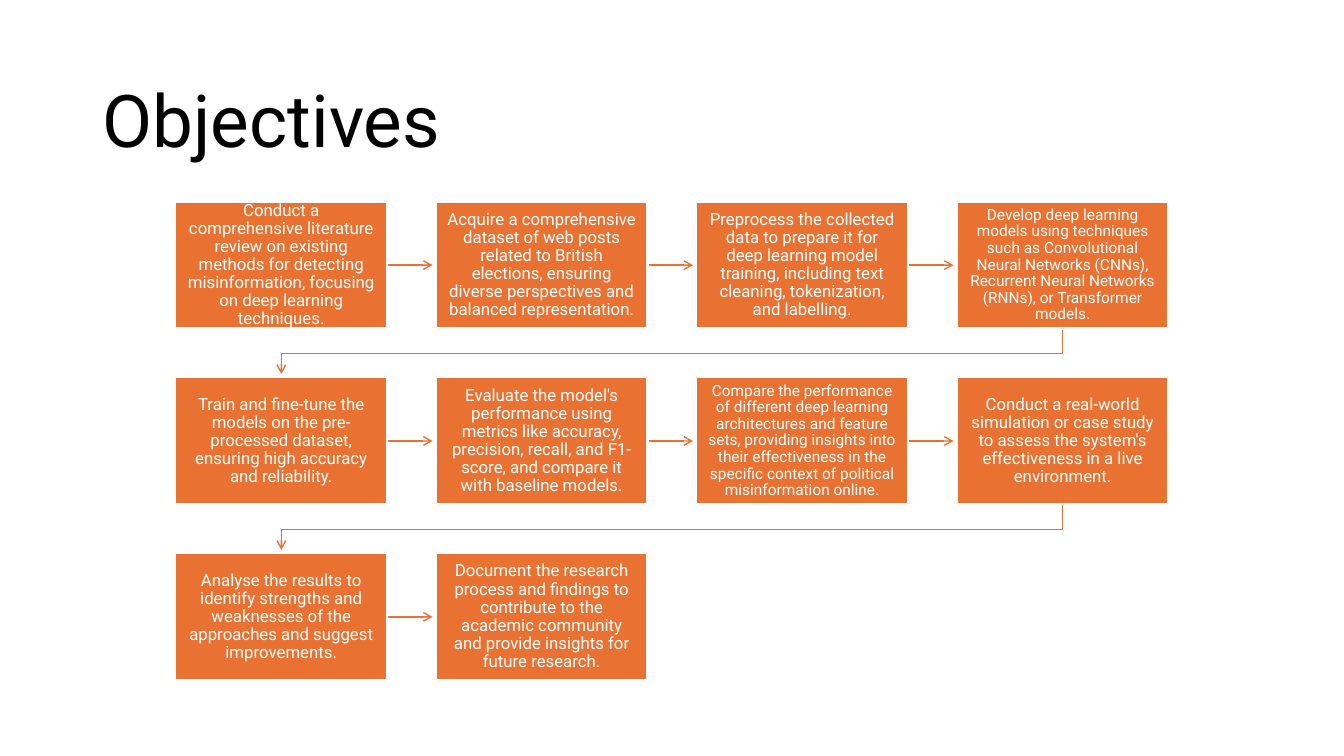
from lxml import etree
from pptx import Presentation
from pptx.dml.color import RGBColor
from pptx.enum.shapes import MSO_CONNECTOR, MSO_SHAPE
from pptx.enum.text import MSO_ANCHOR, PP_ALIGN
from pptx.oxml.ns import qn
from pptx.util import Inches, Pt

RECTANGLE = MSO_SHAPE.RECTANGLE
STRAIGHT = MSO_CONNECTOR.STRAIGHT
MIDDLE = MSO_ANCHOR.MIDDLE
LEFT, CENTER = PP_ALIGN.LEFT, PP_ALIGN.CENTER

FONT = "Roboto"
COLORS = {"orange": "E97132", "white": "FFFFFF", "black": "000000"}

COLUMNS, ROWS = 4, 3
STEP_W, STEP_H = 2.1, 1.26
ARROW_LENGTH = 0.45
TURN_DROP = 0.25  # how far a row-to-row arrow falls before it runs left

# Each objective with its text size
OBJECTIVES = [
    ("Conduct a comprehensive literature review on existing methods for "
     "detecting misinformation, focusing on deep learning techniques.", 12),
    ("Acquire a comprehensive dataset of web posts related to British "
     "elections, ensuring diverse perspectives and balanced "
     "representation.", 12),
    ("Preprocess the collected data to prepare it for deep learning model "
     "training, including text cleaning, tokenization, and labelling.", 12),
    ("Develop deep learning models using techniques such as Convolutional "
     "Neural Networks (CNNs), Recurrent Neural Networks (RNNs), or "
     "Transformer models.", 11),
    ("Train and fine-tune the models on the pre-processed dataset, ensuring "
     "high accuracy and reliability.", 12),
    ("Evaluate the model's performance using metrics like accuracy, "
     "precision, recall, and F1-score, and compare it with baseline "
     "models.", 12),
    ("Compare the performance of different deep learning architectures and "
     "feature sets, providing insights into their effectiveness in the "
     "specific context of political misinformation online.", 11),
    ("Conduct a real-world simulation or case study to assess the system's "
     "effectiveness in a live environment.", 12),
    ("Analyse the results to identify strengths and weaknesses of the "
     "approaches and suggest improvements.", 12),
    ("Document the research process and findings to contribute to the "
     "academic community and provide insights for future research.", 12),
]


def color(name):
    return RGBColor.from_string(COLORS[name])


def write(frame, text, size, ink, align):
    frame.word_wrap = True
    frame.vertical_anchor = MIDDLE
    frame.text = text
    paragraph = frame.paragraphs[0]
    paragraph.alignment = align
    paragraph.line_spacing = 0.9
    font = paragraph.runs[0].font
    font.name, font.size = FONT, Pt(size)
    font.color.rgb = color(ink)


def style_arrow(arrow):
    arrow.line.color.rgb = color("orange")
    arrow.line.width = Pt(1)
    properties = arrow.element.spPr
    etree.SubElement(properties.find(qn("a:ln")), qn("a:tailEnd"), type="arrow")
    etree.SubElement(properties, qn("a:effectLst"))


def add_title(slide, left, top, width, height):
    title = slide.shapes.add_textbox(
        Inches(left), Inches(top), Inches(width), Inches(height))
    write(title.text_frame, "Objectives", 52, "black", LEFT)


def add_next_arrow(slide, left, top):
    """Arrow from a step to its right-hand neighbour."""
    start, middle = left + STEP_W, top + STEP_H / 2
    style_arrow(slide.shapes.add_connector(
        STRAIGHT, Inches(start), Inches(middle),
        Inches(start + ARROW_LENGTH), Inches(middle)))


def add_turn_arrow(slide, left, top, first_left):
    """Arrow from the last step of a row to the first of the next row."""
    start_x, end_x = left + STEP_W / 2, first_left + STEP_W / 2
    start_y = top + STEP_H
    bends = [(start_x, start_y + TURN_DROP), (end_x, start_y + TURN_DROP),
             (end_x, start_y + ARROW_LENGTH)]
    builder = slide.shapes.build_freeform(Inches(start_x), Inches(start_y))
    builder.add_line_segments(
        [(Inches(x), Inches(y)) for x, y in bends], close=False)
    turn = builder.convert_to_shape()
    turn.fill.background()
    style_arrow(turn)


def add_step(slide, left, top, text, size):
    step = slide.shapes.add_shape(
        RECTANGLE, Inches(left), Inches(top), Inches(STEP_W), Inches(STEP_H))
    step.shadow.inherit = False
    step.fill.solid()
    step.fill.fore_color.rgb = color("orange")
    step.line.color.rgb = color("white")
    step.line.width = Pt(1.5)
    frame = step.text_frame
    frame.margin_left = frame.margin_right = Inches(0.1)
    frame.margin_top = frame.margin_bottom = Inches(0.11)
    write(frame, text, size, "white", CENTER)


def add_process(slide, left, top, width, height):
    """Steps in reading order, spread evenly over the given box."""
    column_pitch = (width - STEP_W) / (COLUMNS - 1)
    row_pitch = (height - STEP_H) / (ROWS - 1)
    for index, (text, size) in enumerate(OBJECTIVES):
        row, column = divmod(index, COLUMNS)
        x, y = left + column * column_pitch, top + row * row_pitch
        if index < len(OBJECTIVES) - 1:
            if column < COLUMNS - 1:
                add_next_arrow(slide, x, y)
            else:
                add_turn_arrow(slide, x, y, left)
        add_step(slide, x, y, text, size)


def main():
    deck = Presentation()
    deck.slide_width, deck.slide_height = Inches(13.33), Inches(7.5)
    slide = deck.slides.add_slide(deck.slide_layouts[6])
    add_title(slide, 0.92, 0.61, 11.5, 1.24)
    add_process(slide, 1.74, 2, 9.85, 4.75)
    deck.save("out.pptx")


if __name__ == "__main__":
    main()
